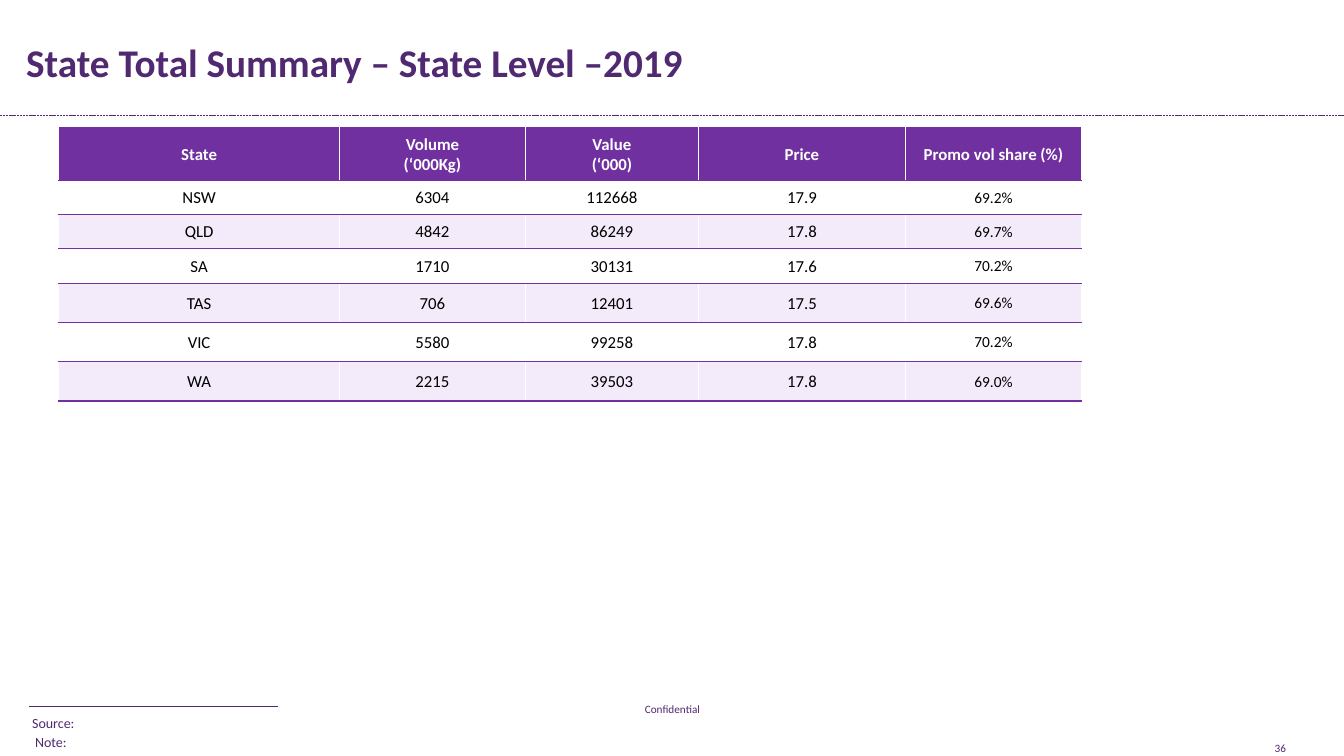
from lxml.etree import SubElement
from pptx import Presentation
from pptx.dml.color import RGBColor
from pptx.enum.dml import MSO_LINE
from pptx.enum.shapes import MSO_CONNECTOR
from pptx.enum.text import MSO_ANCHOR, MSO_AUTO_SIZE, PP_ALIGN
from pptx.oxml.ns import qn
from pptx.util import Inches, Pt

COLORS = {"ink": "502970", "purple": "7030A0", "band": "F3EBF9",
          "white": "FFFFFF", "black": "000000"}
FONT = "Calibri"
COL_WIDTHS = [2.79, 1.84, 1.72, 2.05, 1.75]
ROW_HEIGHTS = [0.52, 0.34, 0.34, 0.34, 0.39, 0.39, 0.39]
HEADERS = ["State", "Volume\n(‘000Kg)", "Value\n(‘000)", "Price", "Promo vol share (%)"]
STATES = [
    ["NSW", "6304", "112668", "17.9", "69.2%"],
    ["QLD", "4842", "86249", "17.8", "69.7%"],
    ["SA", "1710", "30131", "17.6", "70.2%"],
    ["TAS", "706", "12401", "17.5", "69.6%"],
    ["VIC", "5580", "99258", "17.8", "70.2%"],
    ["WA", "2215", "39503", "17.8", "69.0%"],
]


def rgb(name):
    return RGBColor.from_string(COLORS[name])


def set_text(tf, text, size=10, color="ink", bold=False, align=PP_ALIGN.LEFT):
    """Fill a text frame, one paragraph for each line of text."""
    tf.text = text
    for p in tf.paragraphs:
        p.alignment = align
        for r in p.runs:
            r.font.name = FONT
            r.font.size = Pt(size)
            r.font.bold = bold
            r.font.color.rgb = rgb(color)


def add_label(slide, text, left, top, width, height, wrap=True,
              anchor=MSO_ANCHOR.MIDDLE, **fmt):
    sp = slide.shapes.add_textbox(Inches(left), Inches(top), Inches(width), Inches(height))
    tf = sp.text_frame
    tf.word_wrap = wrap
    tf.vertical_anchor = anchor
    set_text(tf, text, **fmt)


def add_rule(slide, left, top, width, dash=None):
    line = slide.shapes.add_connector(MSO_CONNECTOR.STRAIGHT, Inches(left), Inches(top),
                                      Inches(left + width), Inches(top))
    line.line.color.rgb = rgb("ink")
    line.line.width = Pt(0.5)
    if dash:
        line.line.dash_style = dash
    SubElement(line._element.spPr, qn("a:effectLst"))


def add_header(slide, left, top, width, height):
    title = slide.shapes.title
    title.left, title.top = Inches(left), Inches(top)
    title.width, title.height = Inches(width), Inches(height)
    tf = title.text_frame
    tf.auto_size = MSO_AUTO_SIZE.NONE
    tf.vertical_anchor = MSO_ANCHOR.MIDDLE
    set_text(tf, "State Total Summary – State Level –2019", size=28, bold=True)
    add_rule(slide, 0, top + height + 0.1, 13.33, MSO_LINE.SQUARE_DOT)


def set_borders(cell):
    tcPr = cell._tc.get_or_add_tcPr()
    for side, color in (("L", "white"), ("R", "white"), ("T", "purple"), ("B", "purple")):
        ln = SubElement(tcPr, qn(f"a:ln{side}"), w=str(Pt(1)))
        fill = SubElement(ln, qn("a:solidFill"))
        SubElement(fill, qn("a:srgbClr"), val=COLORS[color])


def format_cell(cell, text, row, col):
    header = row == 0
    cell.margin_left = cell.margin_right = cell.margin_top = Inches(0.01)
    cell.margin_bottom = 0
    cell.vertical_anchor = MSO_ANCHOR.MIDDLE
    set_text(cell.text_frame, text, bold=header, align=PP_ALIGN.CENTER,
             size=11 if col == 4 and not header else 12,
             color="white" if header else "black")
    set_borders(cell)
    if row % 2 and not header:
        cell.fill.background()
    else:
        cell.fill.solid()
        cell.fill.fore_color.rgb = rgb("purple" if header else "band")


def add_state_table(slide, left, top):
    rows = [HEADERS] + STATES
    frame = slide.shapes.add_table(len(rows), len(HEADERS), Inches(left), Inches(top),
                                   Inches(sum(COL_WIDTHS)), Inches(sum(ROW_HEIGHTS)))
    table = frame.table
    table.first_row = table.horz_banding = False
    for column, width in zip(table.columns, COL_WIDTHS):
        column.width = Inches(width)
    for i, (height, values) in enumerate(zip(ROW_HEIGHTS, rows)):
        table.rows[i].height = Inches(height)
        for j, text in enumerate(values):
            format_cell(table.cell(i, j), text, i, j)


def add_footer(slide, left, top):
    add_rule(slide, left + 0.07, top + 0.18, 2.47)
    add_label(slide, "Source:", left, top + 0.21, 0.68, 0.27, wrap=False,
              anchor=MSO_ANCHOR.TOP)
    add_label(slide, "Note:", left + 0.03, top + 0.4, 0.53, 0.27, wrap=False,
              anchor=MSO_ANCHOR.TOP)
    add_label(slide, "Confidential", left + 5.05, top, 2.8, 0.4, size=8,
              align=PP_ALIGN.CENTER)
    add_label(slide, "36", left + 12.16, top + 0.39, 0.64, 0.4, size=8,
              align=PP_ALIGN.CENTER)


def main():
    prs = Presentation()
    prs.slide_width, prs.slide_height = Inches(13.33), Inches(7.5)
    slide = prs.slides.add_slide(prs.slide_layouts[5])
    add_header(slide, 0.16, 0.18, 12, 0.86)
    add_state_table(slide, 0.58, 1.27)
    add_footer(slide, 0.22, 6.83)
    prs.save("out.pptx")


if __name__ == "__main__":
    main()
